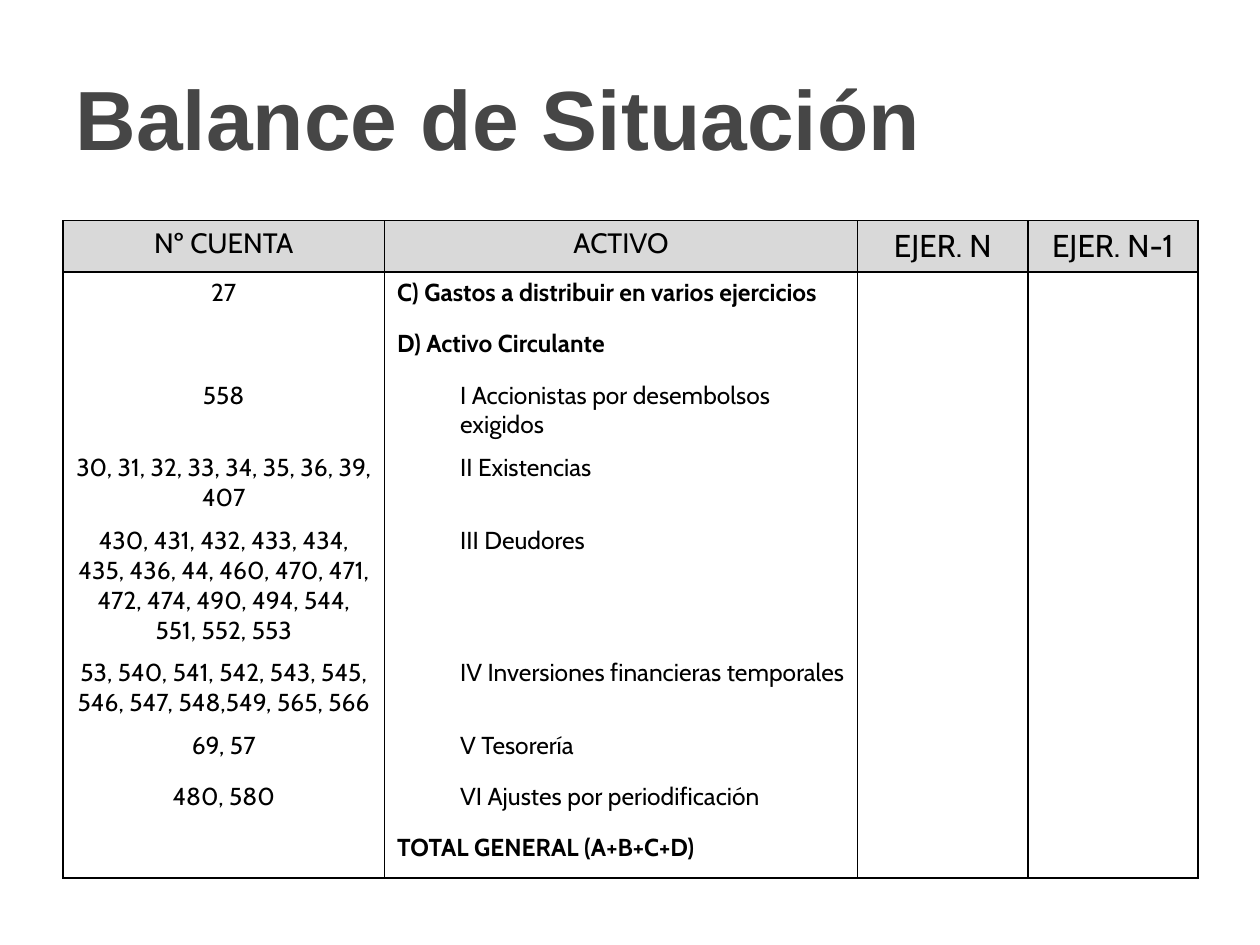
from lxml.etree import SubElement
from pptx import Presentation
from pptx.dml.color import RGBColor
from pptx.enum.text import MSO_ANCHOR, PP_ALIGN
from pptx.oxml.ns import qn
from pptx.util import Cm, Pt

COLORS = {"title": "464646", "text": "000000", "border": "000000", "header": "D9D9D9"}
FONT = "Cabin"
SIDES = ("L", "R", "T", "B")
LINE_HEIGHT = {1: 1.03, 2: 1.47, 4: 2.66}


def set_borders(cell, visible):
    """Draw the named sides of a cell and clear the others."""
    properties = cell._tc.get_or_add_tcPr()
    for side in SIDES:
        line = SubElement(properties, qn(f"a:ln{side}"), w=str(Pt(1)))
        if side in visible:
            fill = SubElement(line, qn("a:solidFill"))
            SubElement(fill, qn("a:srgbClr"), val=COLORS["border"])
        else:
            SubElement(line, qn("a:noFill"))


def write(paragraph, text, size, bold, color, font=FONT):
    run = paragraph.add_run()
    run.text = text
    run.font.name = font
    run.font.size = Pt(size)
    run.font.bold = bold
    run.font.color.rgb = RGBColor.from_string(COLORS[color])


prs = Presentation()
prs.slide_width, prs.slide_height = Cm(25.4), Cm(19.05)
slide = prs.slides.add_slide(prs.slide_layouts[5])

# Title
title = slide.shapes.title
title.left, title.top, title.width, title.height = Cm(1.27), Cm(0.76), Cm(22.86), Cm(3.18)
title.text_frame.vertical_anchor = MSO_ANCHOR.MIDDLE
heading = title.text_frame.paragraphs[0]
heading.alignment = PP_ALIGN.LEFT
indent = Cm(0.97)
heading_properties = heading._p.get_or_add_pPr()
heading_properties.set("marL", str(indent))
heading_properties.set("indent", str(-indent))
write(heading, "Balance de Situación", 48, True, "title", "Arial")

# Balance sheet: accounts, asset, outline level, lines of text in the row
headers = [("Nº CUENTA", 16), ("ACTIVO", 16), ("EJER. N", 18), ("EJER. N-1", 18)]
assets = [
    ("27", "C) Gastos a distribuir en varios ejercicios", 0, 1),
    ("", "D) Activo Circulante", 0, 1),
    ("558", "I Accionistas por desembolsos exigidos", 1, 2),
    ("30, 31, 32, 33, 34, 35, 36, 39, 407", "II Existencias", 1, 2),
    ("430, 431, 432, 433, 434, 435, 436, 44, 460, 470, 471, 472, 474, 490, 494, "
     "544, 551, 552, 553", "III Deudores", 1, 4),
    ("53, 540, 541, 542, 543, 545, 546, 547, 548,549, 565, 566",
     "IV Inversiones financieras temporales", 1, 2),
    ("69, 57", "V Tesorería", 1, 1),
    ("480, 580", "VI Ajustes por periodificación", 1, 1),
    ("", "TOTAL GENERAL (A+B+C+D)", 0, 1),
]
heights = [LINE_HEIGHT[lines] for lines in [1] + [asset[3] for asset in assets]]
widths = [6.48, 9.54, 3.43, 3.43]
balance = slide.shapes.add_table(
    len(heights), len(widths), Cm(1.27), Cm(4.45), Cm(sum(widths)), Cm(sum(heights))
).table
balance.first_row = balance.horz_banding = False
for column, width in zip(balance.columns, widths):
    column.width = Cm(width)
for row, height in zip(balance.rows, heights):
    row.height = Cm(height)

# Header row
for column, (label, size) in enumerate(headers):
    cell = balance.cell(0, column)
    set_borders(cell, SIDES)
    cell.fill.solid()
    cell.fill.fore_color.rgb = RGBColor.from_string(COLORS["header"])
    paragraph = cell.text_frame.paragraphs[0]
    paragraph.alignment = PP_ALIGN.CENTER
    write(paragraph, label, size, False, "text")

# Body rows: vertical rules only, closed at the top and bottom
for row, (accounts, asset, level, _) in enumerate(assets, start=1):
    visible = ["L", "R"]
    if row == 1:
        visible.append("T")
    if row == len(assets):
        visible.append("B")
    for column in range(len(widths)):
        cell = balance.cell(row, column)
        set_borders(cell, visible)
        cell.fill.background()

    if accounts:
        paragraph = balance.cell(row, 0).text_frame.paragraphs[0]
        paragraph.alignment = PP_ALIGN.CENTER
        write(paragraph, accounts, 14, False, "text")

    paragraph = balance.cell(row, 1).text_frame.paragraphs[0]
    paragraph.level = level
    paragraph._p.get_or_add_pPr().set("marL", str(Cm(1.27 * level)))
    write(paragraph, asset, 14, level == 0, "text")

prs.save("out.pptx")
